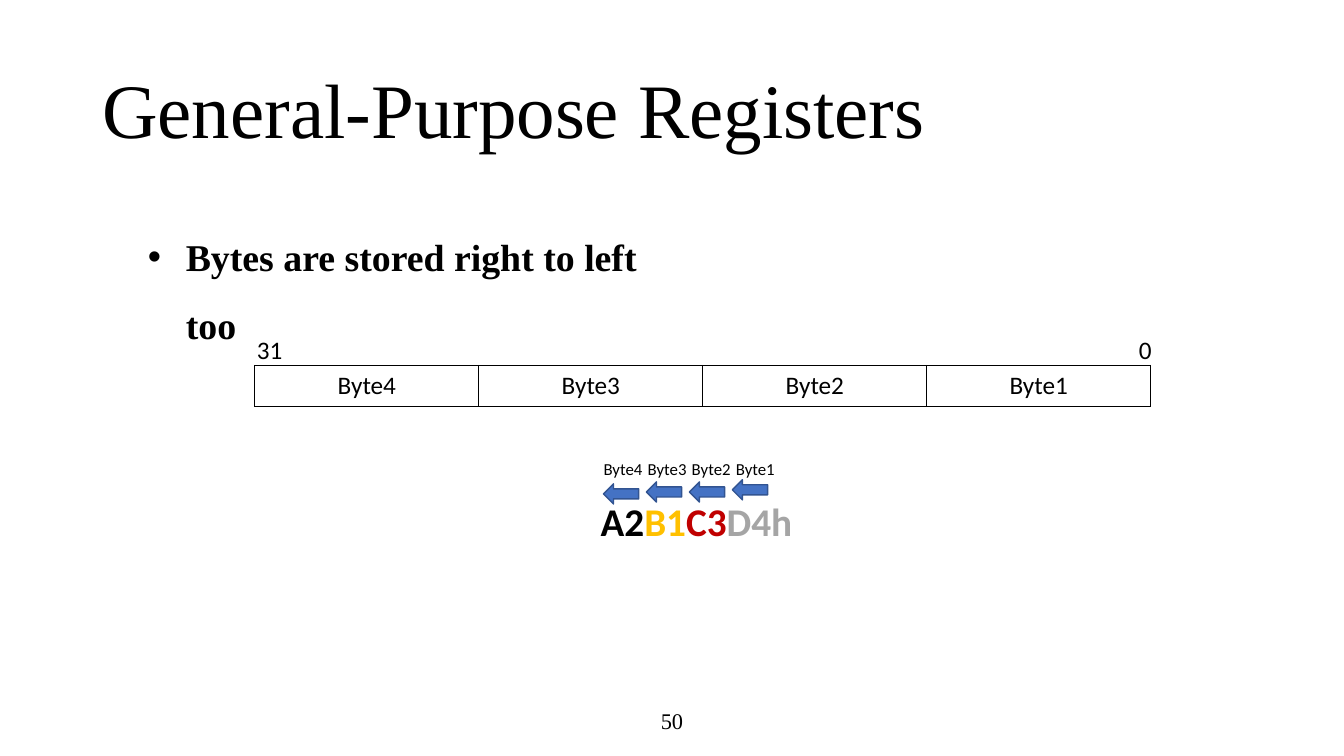
from lxml import etree
from pptx import Presentation
from pptx.dml.color import RGBColor
from pptx.enum.shapes import MSO_SHAPE as SHAPE
from pptx.enum.text import MSO_ANCHOR as ANCHOR, PP_ALIGN as ALIGN
from pptx.oxml.ns import qn
from pptx.util import Pt

SERIF, SANS = "Times New Roman", "Calibri"
BLACK, GOLD, RED, GRAY = "000000", "FFC000", "C00000", "A5A5A5"
BLUE, DARK_BLUE = "4472C4", "325491"


def rgb(value):
    return RGBColor.from_string(value)


def write(p, text, size=18, font=SANS, color=BLACK, bold=False):
    r = p.add_run()
    r.text = text
    r.font.size, r.font.name, r.font.bold = Pt(size), font, bold
    r.font.color.rgb = rgb(color)


def add_bullet(p, indent):
    pPr = p._p.get_or_add_pPr()
    pPr.set("marL", str(Pt(indent)))
    pPr.set("indent", str(-Pt(indent)))
    etree.SubElement(pPr, qn("a:buFont")).set("typeface", "Arial")
    etree.SubElement(pPr, qn("a:buChar")).set("char", "•")


def add_borders(cell, color=BLACK, width=1):
    tcPr = cell._tc.get_or_add_tcPr()
    for i, side in enumerate(("lnL", "lnR", "lnT", "lnB")):
        ln = etree.Element(qn(f"a:{side}"), w=str(Pt(width)))
        fill = etree.SubElement(ln, qn("a:solidFill"))
        etree.SubElement(fill, qn("a:srgbClr")).set("val", color)
        tcPr.insert(i, ln)


class RegisterSlide:
    def __init__(self, prs):
        self.s = prs.slides.add_slide(prs.slide_layouts[6])

    def text(self, box, runs, wrap=True, anchor=ANCHOR.TOP, align=ALIGN.LEFT,
             spacing=1.0, bullet_indent=None, **style):
        """Add a one-paragraph text box; runs is a list of (text, color)."""
        tf = self.s.shapes.add_textbox(*map(Pt, box)).text_frame
        tf.word_wrap, tf.vertical_anchor = wrap, anchor
        p = tf.paragraphs[0]
        p.alignment, p.line_spacing = align, spacing
        if bullet_indent:
            add_bullet(p, bullet_indent)
        for text, color in runs:
            write(p, text, color=color, **style)

    def label(self, box, text, **style):
        self.text(box, [(text, BLACK)], **style)

    def table_row(self, box, texts):
        table = self.s.shapes.add_table(1, len(texts), *map(Pt, box)).table
        table.first_row = table.horz_banding = False
        for cell, text in zip(table.iter_cells(), texts):
            cell.fill.background()
            add_borders(cell)
            p = cell.text_frame.paragraphs[0]
            p.alignment = ALIGN.CENTER
            write(p, text)

    def left_arrow(self, box):
        sp = self.s.shapes.add_shape(SHAPE.LEFT_ARROW, *map(Pt, box))
        sp.shadow.inherit = False
        sp.fill.solid()
        sp.fill.fore_color.rgb = rgb(BLUE)
        sp.line.color.rgb = rgb(DARK_BLUE)
        sp.line.width = Pt(1)


def main():
    prs = Presentation()
    prs.slide_width, prs.slide_height = Pt(960), Pt(540)
    slide = RegisterSlide(prs)
    byte_names = ["Byte4", "Byte3", "Byte2", "Byte1"]

    slide.label((318, 500.5, 324, 28.8), "50", size=16, font=SERIF,
                anchor=ANCHOR.MIDDLE, align=ALIGN.CENTER)
    slide.label((66, 28.8, 828, 104.4), "General-Purpose Registers", size=55,
                font=SERIF, anchor=ANCHOR.MIDDLE, spacing=0.9)
    slide.label((98.6, 147, 403, 52), "Bytes are stored right to left too",
                size=27, font=SERIF, bold=True, spacing=1.5, bullet_indent=27)

    slide.table_row((182, 261, 640, 29.5), byte_names)
    slide.label((806.4, 235.5, 24, 29), "0", wrap=False)
    slide.label((176.4, 235.5, 33, 29), "31", wrap=False)

    slide.text((422, 351.4, 181, 41),
               [("A2", BLACK), ("B1", GOLD), ("C3", RED), ("D4h", GRAY)],
               size=28, bold=True)
    arrow_tops = [345.6, 344.2, 344.2, 342.7]
    for i, (name, top) in enumerate(zip(byte_names, arrow_tops)):
        slide.left_arrow((431 + 30.7 * i, top, 25.2, 14.4))
        slide.label((424 + 31.5 * i, 324, 42.5, 21.6), name, size=12, wrap=False)

    prs.save("out.pptx")


if __name__ == "__main__":
    main()
